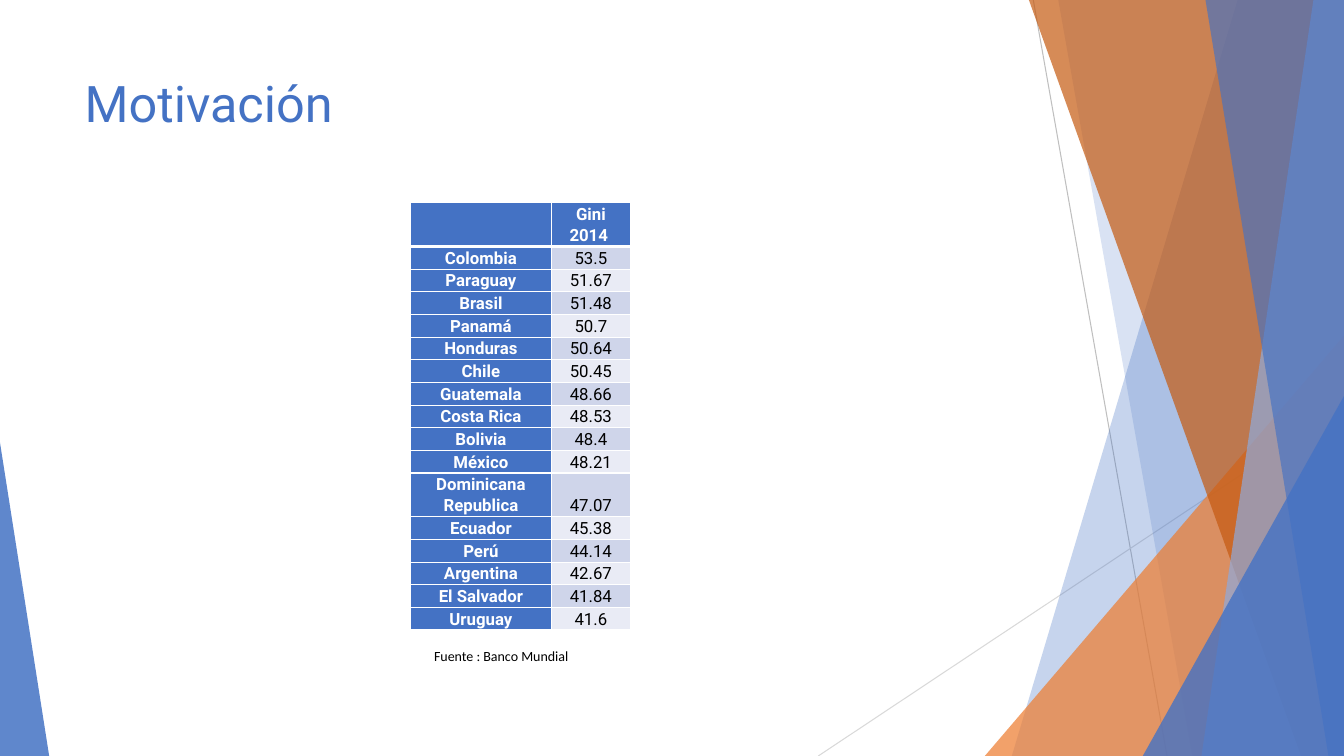
from lxml.etree import SubElement
from pptx import Presentation
from pptx.dml.color import RGBColor
from pptx.enum.shapes import MSO_CONNECTOR, MSO_SHAPE
from pptx.enum.text import MSO_ANCHOR, MSO_AUTO_SIZE, PP_ALIGN
from pptx.oxml.ns import qn
from pptx.util import Cm, Pt

WIDTH, HEIGHT = 33.87, 19.05
BLUE, PALE_BLUE = "4472C4", "8FAADC"
ORANGE, DARK_ORANGE = "ED7D31", "C55A11"
WHITE, BLACK = "FFFFFF", "000000"
BAND_FILLS = ("CFD5EA", "E9EBF5")
ROW_HEIGHT = 0.56
GINI = [
    ("Colombia", "53.5"), ("Paraguay", "51.67"), ("Brasil", "51.48"),
    ("Panamá", "50.7"), ("Honduras", "50.64"), ("Chile", "50.45"),
    ("Guatemala", "48.66"), ("Costa Rica", "48.53"), ("Bolivia", "48.4"),
    ("México", "48.21"), ("Dominicana Republica", "47.07"),
    ("Ecuador", "45.38"), ("Perú", "44.14"), ("Argentina", "42.67"),
    ("El Salvador", "41.84"), ("Uruguay", "41.6"),
]


def rgb(color):
    return RGBColor.from_string(color)


def add_span(para, text, size, font, color, bold=False):
    span = para.add_run()
    span.text = text
    span.font.size = Pt(size)
    span.font.name = font
    span.font.bold = bold
    span.font.color.rgb = rgb(color)


def paint(shape, color, opacity):
    """Give a shape a see-through fill, with no outline and no shadow."""
    shape.shadow.inherit = False
    shape.line.fill.background()
    shape.fill.solid()
    shape.fill.fore_color.rgb = rgb(color)
    tone = shape.element.spPr.find(qn("a:solidFill"))[0]
    SubElement(tone, qn("a:alpha"), val=str(opacity * 1000))


def add_band(slide, top_x, bottom_x, color, opacity):
    """Fill from a slanted edge to the right side of the slide."""
    builder = slide.shapes.build_freeform(Cm(top_x), 0)
    corners = [(WIDTH, 0), (WIDTH, HEIGHT), (bottom_x, HEIGHT)]
    builder.add_line_segments([(Cm(x), Cm(y)) for x, y in corners])
    paint(builder.convert_to_shape(), color, opacity)


def add_corner(slide, left, top, width, apex, color, opacity):
    """Add a triangle that stands on the bottom of the slide."""
    triangle = slide.shapes.add_shape(
        MSO_SHAPE.ISOSCELES_TRIANGLE,
        Cm(left), Cm(top), Cm(width), Cm(HEIGHT - top))
    triangle.adjustments[0] = apex
    paint(triangle, color, opacity)


def add_thin_line(slide, x1, y1, x2, y2, color):
    line = slide.shapes.add_connector(
        MSO_CONNECTOR.STRAIGHT, Cm(x1), Cm(y1), Cm(x2), Cm(y2))
    line.line.color.rgb = rgb(color)
    line.line.width = Pt(0.75)
    SubElement(line.element.spPr, qn("a:effectLst"))


def add_decoration(slide):
    add_thin_line(slide, 26.04, 0, 29.41, HEIGHT, "BFBFBF")
    add_thin_line(slide, WIDTH, 10.24, 20.62, HEIGHT, "D9D9D9")
    add_band(slide, 31.19, 25.5, BLUE, 30)
    add_band(slide, 26.67, 30.05, BLUE, 20)
    add_corner(slide, 24.82, 8.46, 9.05, 1, ORANGE, 72)
    add_band(slide, 25.93, 32.79, DARK_ORANGE, 70)
    add_band(slide, 33.1, 30.28, PALE_BLUE, 70)
    add_band(slide, 30.38, 33.48, BLUE, 65)
    add_corner(slide, 28.8, 9.98, 5.07, 1, BLUE, 80)
    add_corner(slide, 0, 11.15, 1.24, 0, BLUE, 85)


def set_title(slide, text):
    title = slide.shapes.title
    title.left, title.top = Cm(1.88), Cm(1.7)
    title.width, title.height = Cm(23.88), Cm(3.66)
    title.element.getparent().append(title.element)  # in front of the bands
    title.text_frame.vertical_anchor = MSO_ANCHOR.TOP
    para = title.text_frame.paragraphs[0]
    para.alignment = PP_ALIGN.LEFT
    add_span(para, text, 36, "Roboto", BLUE)


def set_borders(cell, top, bottom):
    properties = cell._tc.get_or_add_tcPr()
    for side, points in (("L", 1), ("R", 1), ("T", top), ("B", bottom)):
        border = SubElement(properties, qn(f"a:ln{side}"), w=str(Pt(points)))
        fill = SubElement(border, qn("a:solidFill"))
        SubElement(fill, qn("a:srgbClr"), val=WHITE)


def format_cell(cell, text, row, is_heading):
    set_borders(cell, 3 if row == 1 else 1, 3 if row == 0 else 1)
    cell.fill.solid()
    fill = BLUE if is_heading else BAND_FILLS[(row - 1) % 2]
    cell.fill.fore_color.rgb = rgb(fill)
    cell.margin_left = cell.margin_right = Cm(0.13)
    cell.margin_top = cell.margin_bottom = Cm(0.02)
    cell.vertical_anchor = MSO_ANCHOR.BOTTOM
    if text:
        para = cell.text_frame.paragraphs[0]
        para.alignment = PP_ALIGN.CENTER
        para.line_spacing = 1.07
        color = WHITE if is_heading else BLACK
        add_span(para, text, 12, "Roboto", color, bold=is_heading)


def add_gini_table(slide):
    rows = [("", "Gini 2014 ")] + GINI
    table = slide.shapes.add_table(
        len(rows), 2, Cm(10.34), Cm(5.11),
        Cm(5.54), Cm(ROW_HEIGHT * len(rows))).table
    table.columns[0].width = Cm(3.56)
    table.columns[1].width = Cm(1.98)
    for row, texts in enumerate(rows):
        table.rows[row].height = Cm(ROW_HEIGHT)
        for column, text in enumerate(texts):
            is_heading = row == 0 or column == 0
            format_cell(table.cell(row, column), text, row, is_heading)


def add_source_note(slide, text):
    box = slide.shapes.add_textbox(Cm(10.69), Cm(16.18), Cm(6.71), Cm(1.45))
    box.text_frame.word_wrap = True
    box.text_frame.auto_size = MSO_AUTO_SIZE.SHAPE_TO_FIT_TEXT
    add_span(box.text_frame.paragraphs[0], text, 10, "Calibri", BLACK)


def main():
    deck = Presentation()
    deck.slide_width, deck.slide_height = Cm(WIDTH), Cm(HEIGHT)
    slide = deck.slides.add_slide(deck.slide_layouts.get_by_name("Title Only"))
    add_decoration(slide)
    set_title(slide, "Motivación")
    add_gini_table(slide)
    add_source_note(slide, "Fuente : Banco Mundial")
    deck.save("out.pptx")


if __name__ == "__main__":
    main()
